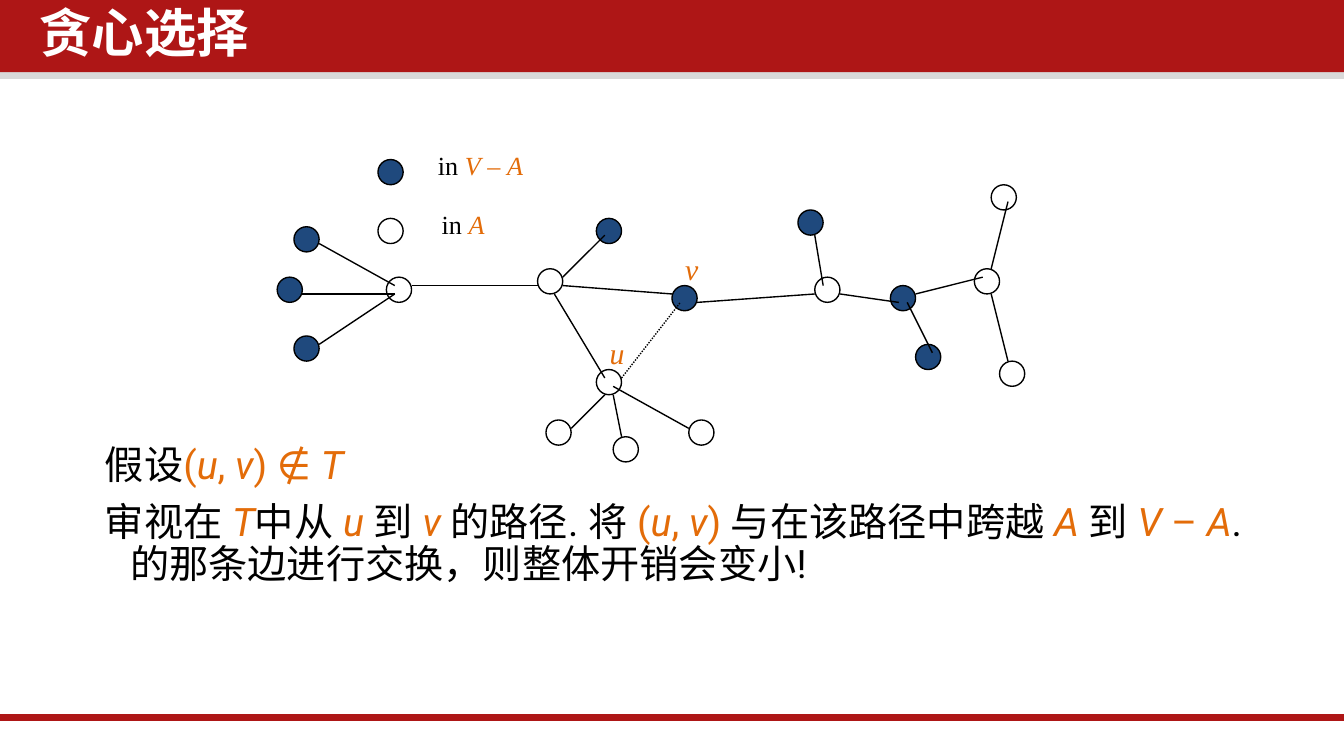
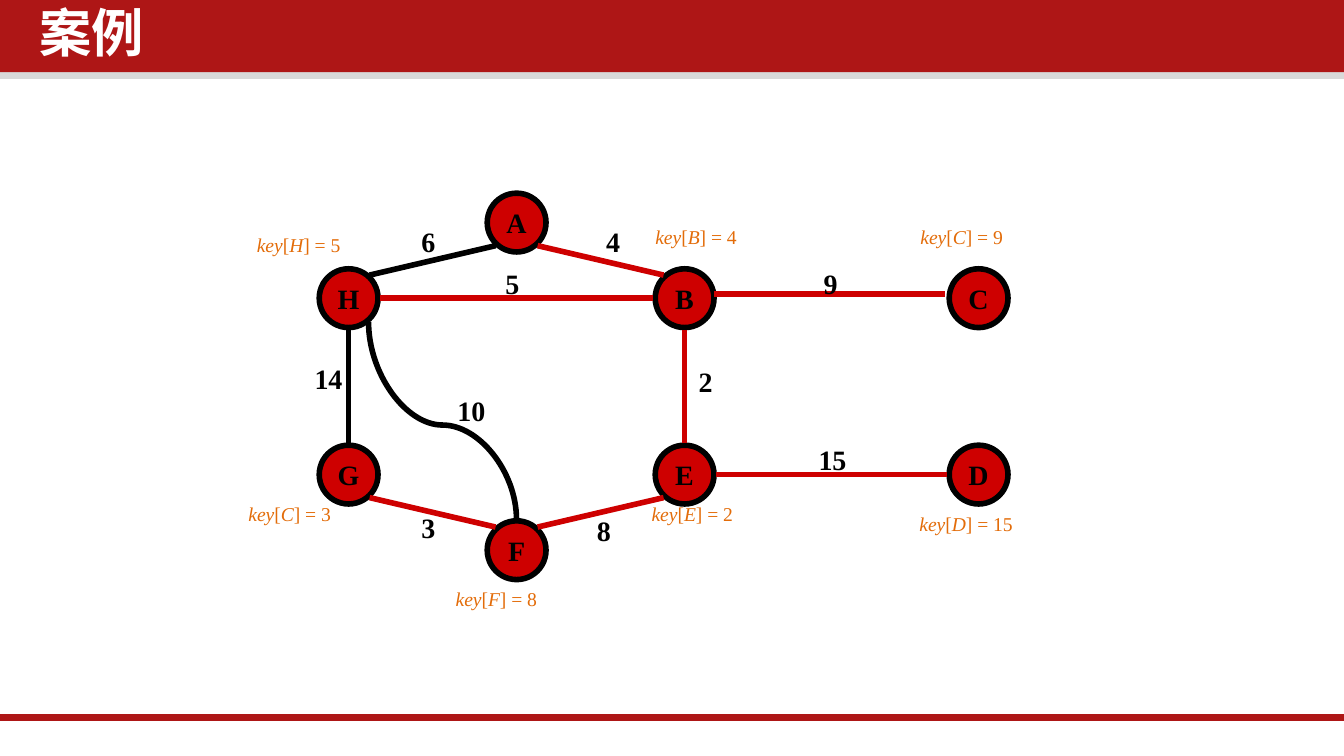
from lxml.etree import SubElement
from pptx import Presentation
from pptx.dml.color import RGBColor
from pptx.enum.dml import MSO_LINE
from pptx.enum.shapes import MSO_CONNECTOR, MSO_SHAPE
from pptx.enum.text import MSO_ANCHOR, MSO_AUTO_SIZE, PP_ALIGN
from pptx.oxml.ns import qn
from pptx.util import Pt

COLORS = {
    "band": "AE1616", "shade": "D9D9D9", "white": "FFFFFF", "black": "000000",
    "accent": "E36C09", "blue": "1F497D", "red": "CE0000",
}
SERIF, SANS, CJK = "Times New Roman", "Roboto", "Noto Sans CJK SC"
WIDTH, HEIGHT = 720, 405
GRID = 4.5  # both graphs sit on a grid of 4.5 points
TITLE_ONLY, TITLE_AND_BODY = 5, 1


def rgb(name):
    return RGBColor.from_string(COLORS[name])


def write(para, text, font=SERIF, size=14, color="black", bold=False, align=PP_ALIGN.LEFT):
    """Write text where |bars| enclose accent colour and *stars* enclose italics."""
    para.alignment = align
    for part, colored in enumerate(text.split("|")):
        for piece, content in enumerate(colored.split("*")):
            if not content:
                continue
            span = para.add_run()
            span.text = content
            span.font.name, span.font.size = font, Pt(size)
            span.font.bold, span.font.italic = bold, piece % 2 == 1
            span.font.color.rgb = rgb("accent" if part % 2 else color)
            east_asian = SubElement(span.font._element, qn("a:ea"))
            east_asian.set("typeface", font)


class Page:
    """The shared style and the slide being built."""

    def __init__(self, deck, layout, title):
        self.slide = deck.slides.add_slide(deck.slide_layouts[layout])
        self.shapes = self.slide.shapes
        holder = self.shapes.title
        # Bands lie behind the title
        bands = [
            self.shape(MSO_SHAPE.RECTANGLE, 0, 36, WIDTH, 6.3, "shade"),
            self.shape(MSO_SHAPE.RECTANGLE, 0, 0, WIDTH, 38.7, "band"),
            self.line(0, 384.5, WIDTH, 384.5, "band", 4),
        ]
        for band in bands:
            holder.element.addprevious(band.element)
        self.place(holder, 16, 1, 550, 42.5)
        frame = holder.text_frame
        frame.margin_left = frame.margin_right = Pt(5.3)
        frame.margin_top = frame.margin_bottom = Pt(2.7)
        frame.vertical_anchor = MSO_ANCHOR.TOP
        self.paragraph(frame.paragraphs[0], title, font=CJK, size=28, color="white", bold=True)

    def place(self, holder, left, top, width, height):
        holder.left, holder.top = Pt(left), Pt(top)
        holder.width, holder.height = Pt(width), Pt(height)
        holder.text_frame.word_wrap = True
        holder.text_frame.auto_size = MSO_AUTO_SIZE.NONE

    def paragraph(self, para, text, **style):
        para.line_spacing, para.space_before = 0.9, Pt(7.5)
        write(para, text, **style)

    def body(self, texts, left, top, width, height, bottom):
        holder = self.slide.placeholders[1]
        self.place(holder, left, top, width, height)
        frame = holder.text_frame
        frame.vertical_anchor = MSO_ANCHOR.BOTTOM
        frame.margin_bottom = Pt(bottom)
        for index, text in enumerate(texts):
            para = frame.add_paragraph() if index else frame.paragraphs[0]
            self.paragraph(para, text, font=SANS, size=21)
            props = para._p.get_or_add_pPr()
            props.set("marL", str(Pt(13.5)))
            props.set("indent", str(-Pt(13.5)))
            SubElement(props, qn("a:buNone"))

    def shape(self, kind, left, top, width, height, fill=None, line=None, weight=0.75):
        shape = self.shapes.add_shape(kind, Pt(left), Pt(top), Pt(width), Pt(height))
        shape.shadow.inherit = False
        if fill:
            shape.fill.solid()
            shape.fill.fore_color.rgb = rgb(fill)
        else:
            shape.fill.background()
        if line:
            shape.line.color.rgb = rgb(line)
            shape.line.width = Pt(weight)
        else:
            shape.line.fill.background()
        return shape

    def node(self, column, row, size, fill=None, weight=0.75, label=None):
        box = (column * GRID, row * GRID, size * GRID, size * GRID)
        shape = self.shape(MSO_SHAPE.OVAL, *box, fill, "black", weight)
        if label:
            frame = shape.text_frame
            frame.word_wrap = False
            frame.vertical_anchor = MSO_ANCHOR.MIDDLE
            write(frame.paragraphs[0], label, size=15, bold=True, align=PP_ALIGN.CENTER)

    def line(self, x1, y1, x2, y2, color="black", weight=0.75, dash=None,
             kind=MSO_CONNECTOR.STRAIGHT):
        line = self.shapes.add_connector(kind, Pt(x1), Pt(y1), Pt(x2), Pt(y2))
        line.line.color.rgb = rgb(color)
        line.line.width = Pt(weight)
        if dash:
            line.line.dash_style = dash
        SubElement(line.element.spPr, qn("a:effectLst"))
        return line

    def edge(self, *ends, **style):
        return self.line(*(end * GRID for end in ends), **style)

    def label(self, text, left, top, width, height, **style):
        box = self.shapes.add_textbox(Pt(left), Pt(top), Pt(width), Pt(height))
        box.text_frame.word_wrap = False
        box.text_frame.auto_size = MSO_AUTO_SIZE.SHAPE_TO_FIT_TEXT
        write(box.text_frame.paragraphs[0], text, **style)


def greedy_choice(deck):
    page = Page(deck, TITLE_AND_BODY, "贪心选择")
    page.body([
        "假设|(*u*, *v*) ∉ *T*|",
        "审视在 |*T*|中从 |*u *|到 |*v *|的路径. 将 |(*u*, *v*) |与在该路径中跨越 |*A *|到 "
        "|*V *– *A*|. 的那条边进行交换，则整体开销会变小!",
    ], 49, 82, 639.5, 250, bottom=17.5)

    # Vertices, the last of each list being the legend
    vertices = {
        None: [(46, 33), (64, 32), (73, 52), (65, 50), (82, 50), (97, 33), (71, 44),
               (116, 32), (118, 22), (119, 43), (45, 26)],
        "blue": [(33, 33), (35, 27), (35, 40), (71, 26), (80, 34), (106, 34),
                 (109, 41), (95, 25), (45, 19)],
    }
    for fill, spots in vertices.items():
        for column, row in spots:
            page.node(column, row, 3, fill)

    # Tree edges, then the edge outside the tree
    edges = [
        (49, 34, 64, 34), (67, 34, 80, 35), (83, 36, 97, 35), (100, 35, 107, 36),
        (38, 29, 47, 34), (36, 35, 47, 35), (38, 41, 47, 35), (67, 33, 72, 28),
        (73, 47, 74, 52), (72, 47, 68, 51), (73, 46, 82, 51), (108, 36, 111, 42),
        (98, 34, 97, 28), (66, 35, 72, 45), (109, 35, 117, 33), (120, 24, 118, 32),
        (118, 35, 120, 43),
    ]
    for ends in edges:
        page.edge(*ends)
    page.edge(74, 45, 81, 36, dash=MSO_LINE.ROUND_DOT)

    # Names and legend
    page.label("|*u*|", 319.5, 175.5, 20, 26.5, size=16)
    page.label("|*v*|", 360, 130.5, 19, 26.5, size=16)
    page.label("in |*V* – *A*|", 227.5, 76.5, 60, 24.5)
    page.label("in |*A*|", 229.5, 108, 37.5, 24.5)


def example(deck):
    page = Page(deck, TITLE_ONLY, "案例")
    size = 7
    vertices = {
        "H": (38, 32), "B": (78, 32), "C": (113, 32), "G": (38, 53),
        "E": (78, 53), "D": (113, 53), "F": (58, 62), "A": (58, 23),
    }
    for name, (column, row) in vertices.items():
        page.node(column, row, size, "red", 3, name)

    # Edges leave a vertex at its side, or at its corner when slanted
    for start, end, color in [
        ("A", "B", "red"), ("A", "H", "black"), ("H", "B", "red"), ("G", "H", "black"),
        ("G", "F", "red"), ("F", "E", "red"), ("E", "B", "red"), ("E", "D", "red"),
    ]:
        (x1, y1), (x2, y2) = vertices[start], vertices[end]
        right, down = (x2 > x1) - (x2 < x1), (y2 > y1) - (y2 < y1)
        reach_x, reach_y = (2.5, 2.75) if right and down else (3.75, 3.75)
        dx, dy, middle = right * reach_x, down * reach_y, size / 2
        page.edge(x1 + middle + dx, y1 + middle + dy, x2 + middle - dx, y2 + middle - dy,
                  color=color, weight=3)
    page.edge(85, 35, 112.5, 35, color="red", weight=3)

    # Curved edge from F to H, turned a quarter to leave upwards
    curve = page.line(290, 185.75, 184.25, 265, weight=3, kind=MSO_CONNECTOR.CURVE)
    curve.element.spPr.xfrm.set("rot", str(90 * 60000))
    guides = curve.element.spPr.find(qn("a:prstGeom")).find(qn("a:avLst"))
    SubElement(guides, qn("a:gd"), name="adj1", fmla="val 47800")

    # Weights, centred on x
    for weight, x, top in [
        (14, 176, 190), (10, 252.5, 207.5), (3, 229.5, 270), (6, 229.5, 116.5),
        (4, 328.5, 116.5), (5, 274.5, 139), (2, 378, 192), (9, 445, 139.5),
        (15, 446, 233.5), (8, 323.5, 271.5),
    ]:
        width = 15 + 8 * len(str(weight))
        page.label(str(weight), x - width / 2, top, width, 25, size=15, bold=True,
                   align=PP_ALIGN.CENTER)

    # Keys
    for name, key, left, top in [
        ("H", 5, 130.5, 121.5), ("B", 4, 344, 117), ("E", 2, 342, 265.5),
        ("C", 9, 486, 117), ("D", 15, 485.5, 270.5), ("F", 8, 237, 311),
        ("C", 3, 126, 265.5),
    ]:
        width = 53.5 + 5.5 * len(str(key))
        page.label(f"*key*[*{name}*] = {key}", left, top, width, 20, size=10.5, color="accent")


def main():
    deck = Presentation()
    deck.slide_width, deck.slide_height = Pt(WIDTH), Pt(HEIGHT)
    greedy_choice(deck)
    example(deck)
    deck.save("out.pptx")


if __name__ == "__main__":
    main()
